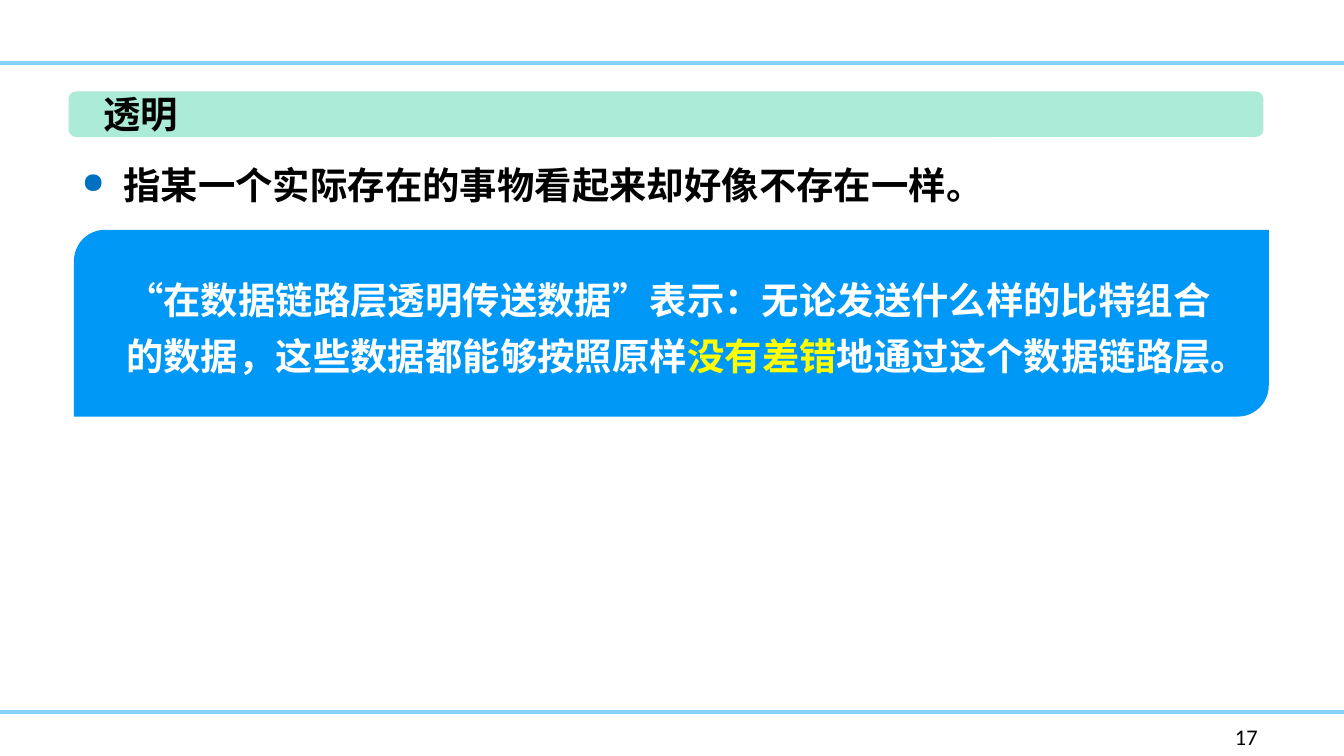
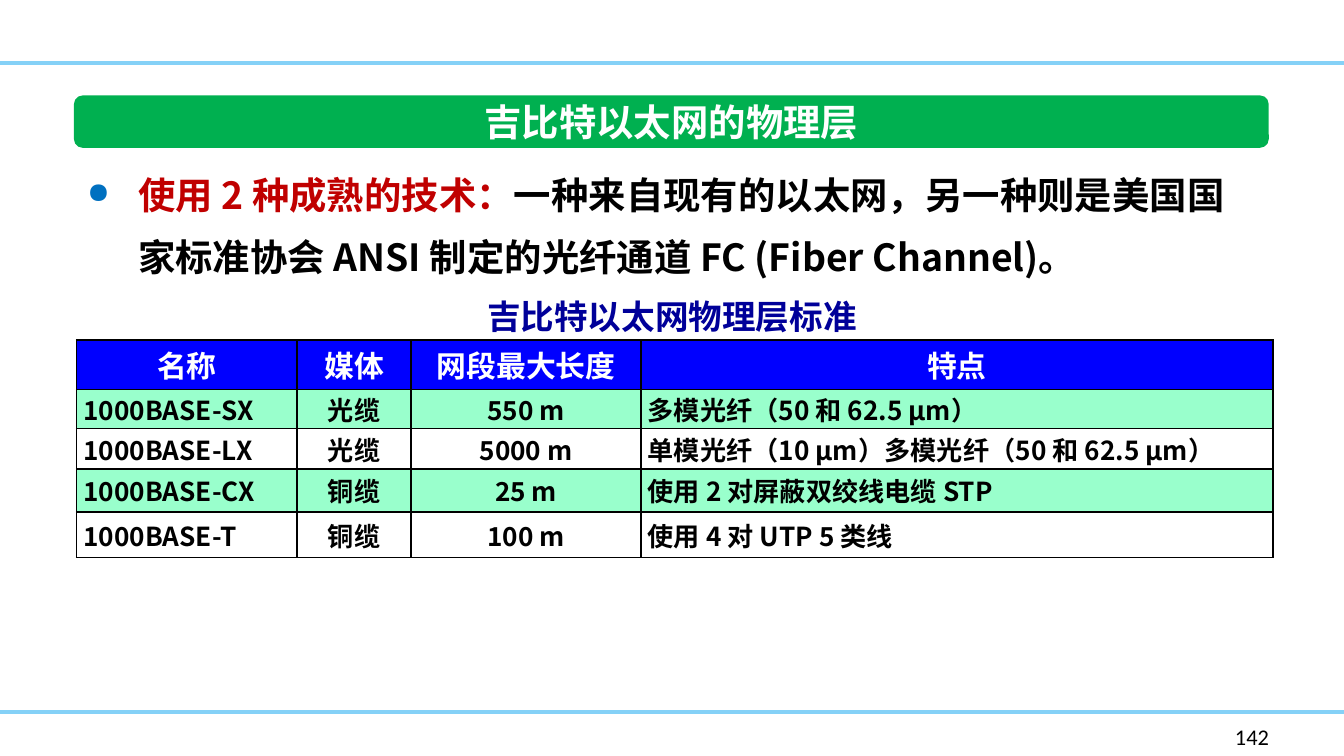
from lxml import etree
from pptx import Presentation
from pptx.dml.color import RGBColor
from pptx.enum.lang import MSO_LANGUAGE_ID
from pptx.enum.shapes import MSO_CONNECTOR, MSO_SHAPE
from pptx.enum.text import MSO_ANCHOR, MSO_AUTO_SIZE, PP_ALIGN
from pptx.oxml.ns import qn
from pptx.util import Pt

PX = 9144
PAGE_WIDTH = 1000

SKY = RGBColor(0x85, 0xD1, 0xF7)
MINT = RGBColor(0xAB, 0xEB, 0xD7)
GREEN = RGBColor(0x00, 0xB0, 0x50)
AZURE = RGBColor(0x00, 0x98, 0xF6)
BULLET_BLUE = RGBColor(0x00, 0x70, 0xC0)
HEADER_BLUE = RGBColor(0x00, 0x00, 0xFF)
NAVY = RGBColor(0x00, 0x00, 0x99)
PALE_GREEN = RGBColor(0x99, 0xFF, 0xCC)
RED = RGBColor(0xC0, 0x00, 0x00)
YELLOW = RGBColor(0xFF, 0xFF, 0x00)
WHITE = RGBColor(0xFF, 0xFF, 0xFF)
BLACK = RGBColor(0x00, 0x00, 0x00)

CHINESE_FONT = "Noto Sans CJK SC"
NUMBER_FONT = "Calibri"
SIMPLIFIED_CHINESE = MSO_LANGUAGE_ID.SIMPLIFIED_CHINESE
LEFT, CENTER = PP_ALIGN.LEFT, PP_ALIGN.CENTER
MIDDLE = MSO_ANCHOR.MIDDLE
NO_FIT, GROW = MSO_AUTO_SIZE.NONE, MSO_AUTO_SIZE.SHAPE_TO_FIT_TEXT
STRAIGHT = MSO_CONNECTOR.STRAIGHT
ROUNDED = MSO_SHAPE.ROUNDED_RECTANGLE
DIAGONAL = MSO_SHAPE.ROUND_2_DIAG_RECTANGLE

BAND_RADIUS = 0.167
COLUMN_WIDTHS = (164, 85, 171, 470)
ROW_HEIGHTS = (37, 29, 30, 32, 34)
COLUMN_ALIGNMENTS = (LEFT, CENTER, CENTER, LEFT)
STANDARDS = (
    ("名称", "媒体", "网段最大长度", "特点"),
    ("1000BASE-SX", "光缆", "550 m", "多模光纤（50 和 62.5 μm）"),
    ("1000BASE-LX", "光缆", "5000 m", "单模光纤（10 μm）多模光纤（50 和 62.5 μm）"),
    ("1000BASE-CX", "铜缆", "25 m", "使用 2 对屏蔽双绞线电缆 STP"),
    ("1000BASE-T", "铜缆", "100 m", "使用 4 对 UTP 5 类线"),
)


def scaled(box):
    return [length * PX for length in box]


def apply_format(target, values):
    for name, value in values.items():
        setattr(target, name, value)


def add_spans(para, spans, size, font=CHINESE_FONT, bold=True):
    for words, color in spans:
        span = para.add_run()
        span.text = words
        span.font.color.rgb = color
        apply_format(span.font, {
            "name": font, "size": Pt(size), "bold": bold,
            "language_id": SIMPLIFIED_CHINESE,
        })
        properties = span.font._element
        etree.SubElement(properties, qn("a:ea"), typeface=font)


def add_bullet(para, indent):
    properties = para._p.get_or_add_pPr()
    properties.set("marL", str(indent * PX))
    properties.set("indent", str(-indent * PX))
    color = etree.SubElement(properties, qn("a:buClr"))
    etree.SubElement(color, qn("a:srgbClr"), val=str(BULLET_BLUE))
    etree.SubElement(properties, qn("a:buSzPct"), val="77000")
    etree.SubElement(properties, qn("a:buChar"), char="●")


def add_text(page, box, spans, size=20, font=CHINESE_FONT, bold=True, wrap=True,
             fit=GROW, align=LEFT, line_spacing=None, indent=0):
    frame = page.shapes.add_textbox(*scaled(box)).text_frame
    apply_format(frame, {"word_wrap": wrap, "auto_size": fit})
    para = frame.paragraphs[0]
    if indent:
        add_bullet(para, indent)
    para.alignment = align
    if line_spacing:
        para.line_spacing = Pt(line_spacing)
    add_spans(para, spans, size, font, bold)


def add_panel(page, kind, box, color):
    panel = page.shapes.add_shape(kind, *scaled(box))
    panel.shadow.inherit = False
    panel.fill.solid()
    panel.fill.fore_color.rgb = color
    panel.line.fill.background()
    return panel


def add_heading(page, band_box, band_color, text_box, words, text_color, align):
    band = add_panel(page, ROUNDED, band_box, band_color)
    band.adjustments[0] = BAND_RADIUS
    add_text(page, text_box, [(words, text_color)], wrap=False, align=align)


def add_point(page, box, spans, indent):
    add_text(page, box, spans, line_spacing=33, indent=indent)


def add_quote(page, box, spans):
    left, top, width, height = box
    add_panel(page, DIAGONAL, box, AZURE)
    add_text(page, (left + 29, top + 22, width - 58, height - 45), spans, line_spacing=30)


def add_rule(page, top):
    rule = page.shapes.add_connector(STRAIGHT, *scaled((0, top, PAGE_WIDTH, top)))
    rule.line.color.rgb = SKY
    rule.line.width = Pt(2)
    etree.SubElement(rule._element.spPr, qn("a:effectLst"))


def add_page(deck, number):
    page = deck.slides.add_slide(deck.slide_layouts[6])
    for top in (47, 530):
        add_rule(page, top)
    add_text(page, (909, 533, 65, 30), [(number, BLACK)], size=12,
             font=NUMBER_FONT, bold=False, fit=NO_FIT)
    return page


def add_borders(cell):
    properties = cell._tc.get_or_add_tcPr()
    for position, side in enumerate(("lnL", "lnR", "lnT", "lnB")):
        border = etree.Element(qn(f"a:{side}"), w=str(Pt(1)))
        fill = etree.SubElement(border, qn("a:solidFill"))
        etree.SubElement(fill, qn("a:srgbClr"), val=str(BLACK))
        properties.insert(position, border)


def fill_cell(cell, words, fill, color, size, align):
    apply_format(cell, {
        "vertical_anchor": MIDDLE, "margin_left": 5 * PX, "margin_right": 5 * PX,
        "margin_top": 0, "margin_bottom": 0,
    })
    cell.fill.solid()
    cell.fill.fore_color.rgb = fill
    add_borders(cell)
    para = cell.text_frame.paragraphs[0]
    para.alignment = align
    add_spans(para, [(words, color)], size)


def add_standards_table(page, left, top):
    box = (left, top, sum(COLUMN_WIDTHS), sum(ROW_HEIGHTS))
    table = page.shapes.add_table(len(ROW_HEIGHTS), len(COLUMN_WIDTHS), *scaled(box)).table
    for column, width in zip(table.columns, COLUMN_WIDTHS):
        column.width = width * PX
    for row_index, (row, height) in enumerate(zip(table.rows, ROW_HEIGHTS)):
        row.height = height * PX
        header = row_index == 0
        stripe = PALE_GREEN if row_index % 2 else WHITE
        for cell, words, align in zip(row.cells, STANDARDS[row_index], COLUMN_ALIGNMENTS):
            if header:
                fill_cell(cell, words, HEADER_BLUE, WHITE, 16, CENTER)
            else:
                fill_cell(cell, words, stripe, BLACK, 14, align)


def build_transparency_page(deck):
    page = add_page(deck, "17")
    add_heading(page, (51, 68, 889, 34), MINT, (67, 63, 76, 44), "透明", BLACK, LEFT)
    add_point(page, (51, 103, 889, 51),
              [("指某一个实际存在的事物看起来却好像不存在一样。", BLACK)], indent=31)
    add_quote(page, (55, 171, 889, 139), [
        ("“在数据链路层透明传送数据”表示：无论发送什么样的比特组合的数据，"
         "这些数据都能够按照原样", WHITE),
        ("没有差错", YELLOW),
        ("地通过这个数据链路层。", WHITE),
    ])


def build_gigabit_page(deck):
    page = add_page(deck, "142")
    add_point(page, (55, 111, 889, 103), [
        ("使用 2 种成熟的技术：", RED),
        ("一种来自现有的以太网，另一种则是美国国家标准协会 ANSI 制定的"
         "光纤通道 FC (Fiber Channel)。", BLACK),
    ], indent=38)
    add_heading(page, (55, 71, 889, 39), GREEN, (345, 69, 309, 44),
                "吉比特以太网的物理层", WHITE, CENTER)
    add_standards_table(page, 57, 253)
    add_text(page, (351, 215, 298, 40), [("吉比特以太网物理层标准", NAVY)],
             size=18, wrap=False, align=CENTER)


def main():
    deck = Presentation()
    deck.slide_width = PAGE_WIDTH * PX
    deck.slide_height = deck.slide_width * 9 // 16
    build_transparency_page(deck)
    build_gigabit_page(deck)
    deck.save("out.pptx")


if __name__ == "__main__":
    main()
